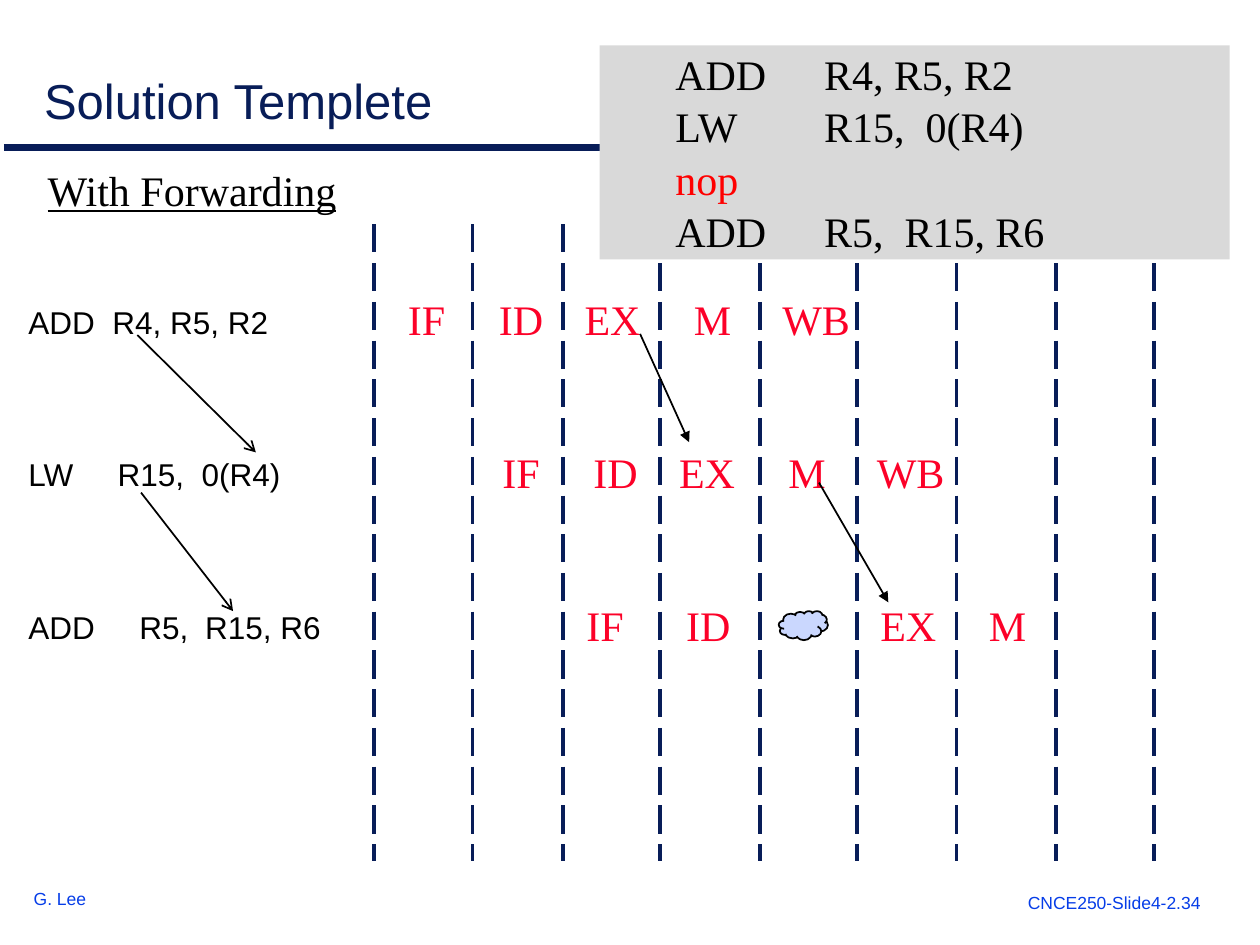
"""Build the pipeline forwarding slide."""
import pptx
import pptx.dml.color
import pptx.enum.dml
import pptx.enum.shapes
import pptx.enum.text
import pptx.oxml.ns
import pptx.util
from lxml import etree

Pt = pptx.util.Pt
SHAPES = pptx.enum.shapes.MSO_SHAPE
ANCHORS = pptx.enum.text.MSO_ANCHOR
LONG_DASH = pptx.enum.dml.MSO_LINE.LONG_DASH

COLORS = {"navy": "081D58", "blue": "063DE8", "stage": "FC0128", "nop": "FF0000",
          "black": "000000", "panel": "D9D9D9", "bubble": "CAD7FE"}
SANS, SERIF = "Arial", "Times New Roman"

TITLE = "Solution Templete"
SUBTITLE = "With Forwarding"
AUTHOR = "G. Lee"
SLIDE_CODE = "CNCE250-Slide4-2.34"

PROGRAM = [
    ("ADD\tR4, R5, R2", [85]),
    ("LW\tR15,\t0(R4)", [85, 143]),
    ("nop", []),
    ("ADD\tR5,\tR15, R6", [85, 131]),
]
INSTRUCTIONS = [
    ("ADD\tR4, R5, R2", [48]),
    ("LW\tR15,\t0(R4)", [51, 99]),
    ("ADD\tR5,\tR15, R6", [63.5, 101]),
]
STAGES = "IF\tID\tEX\tM\tWB"
STAGE_TABS = [52, 101, 163.5, 214]
ISSUE_DELAY = 54
PIPELINE = [
    (STAGES, STAGE_TABS),
    ("\t" + STAGES, [ISSUE_DELAY + tab for tab in [0] + STAGE_TABS]),
    ("\tIF\tID\tEX\tM", [102, 159, 270, 332]),
]
CYCLE_EDGES = [213.8, 270, 321.8, 377.3, 434.2, 489.6, 546.5, 603.4, 659.5]
CYCLE_TOP, CYCLE_BOTTOM = 128.2, 491.8
DEPENDENCIES = [(78.5, 191.5, 146.2, 258.5), (80.6, 281.5, 133.2, 349.2)]
FORWARDS = [(365.8, 190.8, 393.8, 252.7), (468, 275.8, 507.6, 344.2)]
ROW_PITCH = 86.3
LINE_FACTOR = 1.15


def rgb(name):
    """Return the named colour."""
    return pptx.dml.color.RGBColor.from_string(COLORS[name])


def write(shape, rows, size=24, font=SERIF, color="black", pitch=0, underline=None,
          inset=7.2, anchor=ANCHORS.TOP, highlights=None):
    """Write (text, tab stops) rows into a shape at an optional line pitch."""
    frame = shape.text_frame
    frame.word_wrap = True
    frame.auto_size = pptx.enum.text.MSO_AUTO_SIZE.NONE
    frame.vertical_anchor = anchor
    frame.margin_left, frame.margin_right = Pt(inset), Pt(7.2)
    frame.margin_top = frame.margin_bottom = Pt(3.6)
    for index, (text, tabs) in enumerate(rows):
        paragraph = frame.add_paragraph() if index else frame.paragraphs[0]
        paragraph.alignment = pptx.enum.text.PP_ALIGN.LEFT
        if index and pitch:
            paragraph.space_before = Pt(round(pitch - size * LINE_FACTOR, 2))
        if tabs:
            properties = paragraph._p.get_or_add_pPr()
            stops = etree.SubElement(properties, pptx.oxml.ns.qn("a:tabLst"))
            for tab in tabs:
                etree.SubElement(stops, pptx.oxml.ns.qn("a:tab"), pos=str(int(Pt(tab))), algn="l")
        run = paragraph.add_run()
        run.text = text
        run.font.size, run.font.name = Pt(size), font
        run.font.underline = underline
        run.font.color.rgb = rgb((highlights or {}).get(text, color))


def add_text(slide, box, rows, **style):
    """Add a text box holding the rows."""
    write(slide.shapes.add_textbox(*map(Pt, box)), rows, **style)


def add_panel(slide, kind, box, fill, line=None):
    """Add a filled preset shape."""
    panel = slide.shapes.add_shape(kind, *map(Pt, box))
    panel.shadow.inherit = False
    panel.fill.solid()
    panel.fill.fore_color.rgb = rgb(fill)
    if line:
        panel.line.color.rgb = rgb(line)
        panel.line.width = Pt(1)
    else:
        panel.line.fill.background()
    return panel


def add_line(slide, ends, color="black", width=1, dash=None, arrow=None):
    """Add a straight line, optionally dashed or with an arrowhead."""
    connector = slide.shapes.add_connector(pptx.enum.shapes.MSO_CONNECTOR.STRAIGHT, *map(Pt, ends))
    connector.line.color.rgb = rgb(color)
    connector.line.width = Pt(width)
    if dash:
        connector.line.dash_style = dash
    if arrow:
        outline = connector.line._get_or_add_ln()
        etree.SubElement(outline, pptx.oxml.ns.qn("a:tailEnd"), type=arrow)
    etree.SubElement(connector._element.spPr, pptx.oxml.ns.qn("a:effectLst"))


def main():
    """Assemble and save the slide."""
    deck = pptx.Presentation()
    deck.slide_width, deck.slide_height = Pt(720), Pt(540)
    slide = deck.slides.add_slide(deck.slide_layouts[5])

    title = slide.shapes.title
    title.left, title.top, title.width, title.height = map(Pt, (18, 20.9, 689.8, 56.9))
    write(title, [(TITLE, [])], size=28, font=SANS, color="navy", anchor=ANCHORS.BOTTOM)
    add_line(slide, (2.2, 84.2, 630, 84.2), color="navy", width=4)
    add_text(slide, (12.2, 504, 60, 18.7), [(AUTHOR, [])], size=10, font=SANS, color="blue")
    add_text(slide, (580.3, 506.2, 130, 18.7), [(SLIDE_CODE, [])], size=10, font=SANS, color="blue")

    for x in CYCLE_EDGES:
        add_line(slide, (x, CYCLE_TOP, x, CYCLE_BOTTOM), color="navy", width=2, dash=LONG_DASH)
    for ends in DEPENDENCIES:
        add_line(slide, ends, arrow="arrow")
    add_panel(slide, SHAPES.CLOUD, (445, 349.2, 28.1, 16.6), "bubble", line="black")

    add_text(slide, (226, 164, 368, 208.8), PIPELINE, color="stage", pitch=ROW_PITCH)
    add_text(slide, (0, 169.5, 207.4, 266.4), INSTRUCTIONS, size=18, font=SANS,
             pitch=ROW_PITCH, inset=16.2)
    program = add_panel(slide, SHAPES.RECTANGLE, (342.7, 25.9, 360, 122.4), "panel")
    write(program, PROGRAM, pitch=28.8, inset=43.2, anchor=ANCHORS.MIDDLE,
          highlights={"nop": "nop"})
    add_text(slide, (20.2, 90.5, 180, 36), [(SUBTITLE, [])], underline=True)
    for ends in FORWARDS:
        add_line(slide, ends, arrow="triangle")
    deck.save("out.pptx")


if __name__ == "__main__":
    main()
